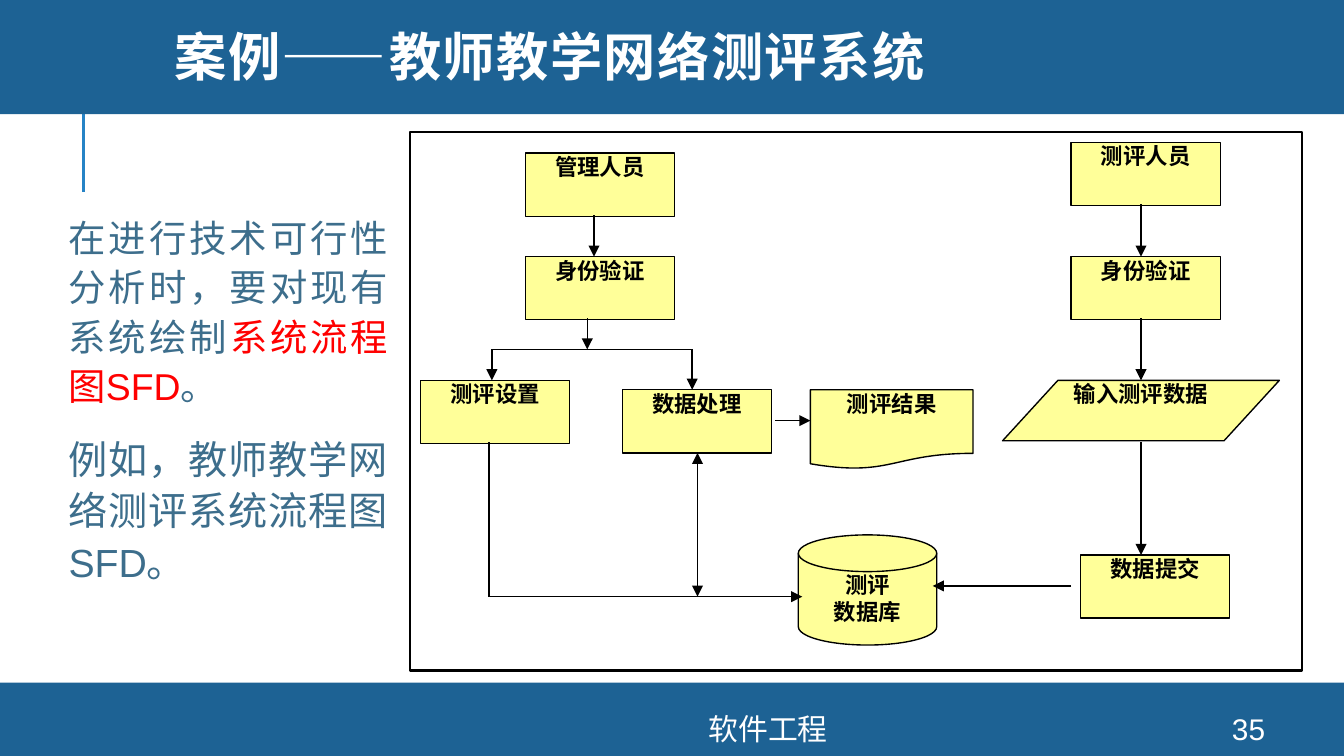
from pptx import Presentation
from pptx.dml.color import RGBColor
from pptx.enum.shapes import MSO_CONNECTOR, MSO_SHAPE
from pptx.enum.text import MSO_ANCHOR, PP_ALIGN
from pptx.oxml.ns import qn
from pptx.util import Inches, Pt
from lxml import etree

RECT = MSO_SHAPE.RECTANGLE
DATA = MSO_SHAPE.FLOWCHART_DATA
DOCUMENT = MSO_SHAPE.FLOWCHART_DOCUMENT
DISK = MSO_SHAPE.FLOWCHART_MAGNETIC_DISK
STRAIGHT = MSO_CONNECTOR.STRAIGHT
TOP, MIDDLE = MSO_ANCHOR.TOP, MSO_ANCHOR.MIDDLE
LEFT, CENTER, JUSTIFY = PP_ALIGN.LEFT, PP_ALIGN.CENTER, PP_ALIGN.JUSTIFY

COLORS = {"band": "1D6294", "accent": "2683C6", "body": "3D6E8C", "key": "FF0000",
          "node": "FFFF99", "ink": "000000", "paper": "FFFFFF"}
WIDTH = 10
HEIGHT = WIDTH * 9 / 16
FOOTER_TOP = 5.08
SANS, CJK = "Arial", "Noto Sans CJK SC"

TITLE = "案例——教师教学网络测评系统"
BODY = [
    (20, [("在进行技术可行性分析时，要对现有系统绘制", "body"),
          ("系统流程图SFD", "key"), ("。", "body")]),
    (21, [("例如，教师教学网络测评系统流程图SFD。", "body")]),
]
FOOTERS = [("35", 8.89, 0.8), ("软件工程", 2.61, 6.21)]

STEP = (1.11, 0.47)
ADMIN, RATER = 3.91, 7.97
ROW_LOGIN, ROW_WORK, ROW_PROCESS = 1.91, 2.83, 2.9
NODES = [
    ("测评\n数据库", DISK, 5.94, 3.98, (1.03, 0.82), CJK),
    ("测评设置", RECT, 3.13, ROW_WORK, STEP, CJK),
    ("测评人员", RECT, RATER, 1.06, STEP, CJK),
    ("管理人员", RECT, ADMIN, 1.14, STEP, CJK),
    ("数据处理", RECT, 4.63, ROW_PROCESS, STEP, CJK),
    ("数据提交", RECT, 8.04, 4.13, STEP, CJK),
    ("输入测评数据", DATA, 7.46, ROW_WORK, (2.06, 0.45), CJK),
    ("测评结果", DOCUMENT, 6.03, ROW_PROCESS, (1.21, 0.59), CJK),
    ("身份验证", RECT, ADMIN, ROW_LOGIN, STEP, SANS),
    ("身份验证", RECT, RATER, ROW_LOGIN, STEP, SANS),
]

RATER_AXIS, FORK_Y, STORE_Y = 8.49, 2.6, 4.44
SETUP_X, SETUP_OUT, PROCESS_X, PROCESS_OUT = 3.66, 3.64, 5.15, 5.19
FLOWS = [
    ((4.42, 1.6), (4.42, ROW_LOGIN), ["tail"]),
    ((RATER_AXIS, 1.52), (RATER_AXIS, ROW_LOGIN), ["tail"]),
    ((PROCESS_X, FORK_Y), (PROCESS_X, ROW_PROCESS), ["tail"]),
    ((RATER_AXIS, 3.29), (RATER_AXIS, 4.13), ["tail"]),
    ((7.97, 4.36), (6.94, 4.36), ["tail"]),
    ((SETUP_X, FORK_Y), (SETUP_X, ROW_WORK), ["tail"]),
    ((RATER_AXIS, ROW_WORK), (RATER_AXIS, 2.37), ["head"]),
    ((5.77, 3.13), (6.03, 3.13), ["tail"]),
    ((SETUP_X, FORK_Y), (PROCESS_X, FORK_Y), []),
    ((4.37, 2.37), (4.37, FORK_Y), ["tail"]),
    ((SETUP_OUT, STORE_Y), (5.97, STORE_Y), ["tail"]),
    ((SETUP_OUT, 3.29), (SETUP_OUT, STORE_Y), []),
    ((PROCESS_OUT, 3.37), (PROCESS_OUT, STORE_Y), ["head", "tail"]),
]


def color(name):
    return RGBColor.from_string(COLORS[name])


def add_block(page, kind, place, fill, line_width=0):
    shape = page.shapes.add_shape(kind, *map(Inches, place))
    shape.shadow.inherit = False
    shape.fill.solid()
    shape.fill.fore_color.rgb = color(fill)
    if line_width:
        shape.line.color.rgb = color("ink")
        shape.line.width = Pt(line_width)
    else:
        shape.line.fill.background()
    return shape


def add_line(page, start, end, name="ink", width=0.75, arrows=()):
    line = page.shapes.add_connector(STRAIGHT, *map(Inches, start + end))
    line.line.color.rgb = color(name)
    line.line.width = Pt(width)
    properties = line._element.spPr
    outline = properties.find(qn("a:ln"))
    for side in arrows:
        etree.SubElement(outline, qn(f"a:{side}End"), type="triangle")
    etree.SubElement(properties, qn("a:effectLst"))


def set_frame(box, anchor, margins):
    frame = box.text_frame
    frame.word_wrap = True
    frame.vertical_anchor = anchor
    frame.margin_left = frame.margin_right = Inches(margins[0])
    frame.margin_top = frame.margin_bottom = Inches(margins[1])
    return frame


def style(para, size, font, align, name=None, bold=False):
    para.alignment = align
    para.font.size = Pt(size)
    para.font.name = font
    para.font.bold = bold
    if name:
        para.font.color.rgb = color(name)


def write(box, text, anchor, margins, *look):
    frame = set_frame(box, anchor, margins)
    frame.text = text
    for para in frame.paragraphs:
        style(para, *look)
    return frame


def add_title(page):
    title = page.shapes.title
    title.left, title.top, title.width, title.height = map(Inches, (1.2, 0, 8.49, 0.91))
    frame = write(title, TITLE, MIDDLE, (0.1, 0.05), 28, "Montserrat", LEFT, "paper", True)
    para = frame.paragraphs[0]
    para.line_spacing = 0.8
    para.runs[0].font._element.set("spc", "80")
    title._element.getparent().append(title._element)


def add_body(page):
    box = page.shapes.add_textbox(*map(Inches, (0.46, 1.52, 2.48, 3.28)))
    frame = set_frame(box, TOP, (0.05, 0.05))
    for index, (size, spans) in enumerate(BODY):
        para = frame.add_paragraph() if index else frame.paragraphs[0]
        para.line_spacing = 1.1
        if index:
            para.space_before = Pt(12)
        style(para, size, SANS, JUSTIFY)
        for text, name in spans:
            span = para.add_run()
            span.text = text
            span.font.color.rgb = color(name)


def main():
    deck = Presentation()
    deck.slide_width, deck.slide_height = Inches(WIDTH), Inches(HEIGHT)
    page = deck.slides.add_slide(deck.slide_layouts[5])

    add_line(page, (0.62, 1.43), (0.62, 0.68), "accent", 1.5)
    add_block(page, RECT, (0, FOOTER_TOP, WIDTH, HEIGHT - FOOTER_TOP), "band")
    add_block(page, RECT, (0, -0.03, WIDTH, 0.88), "band")
    add_title(page)
    add_body(page)

    add_block(page, RECT, (3.05, 0.98, 6.64, 4.01), "paper", 1.25)
    for text, kind, left, top, size, font in NODES:
        node = add_block(page, kind, (left, top) + size, "node", 0.75)
        write(node, text, TOP, (0.1, 0), 12, font, CENTER, "ink", True)
    for start, end, arrows in FLOWS:
        add_line(page, start, end, arrows=arrows)

    for text, left, width in FOOTERS:
        box = page.shapes.add_textbox(*map(Inches, (left, 5.31, width, 0.23)))
        write(box, text, MIDDLE, (0.1, 0.05), 16, SANS, CENTER, "paper")

    deck.save("out.pptx")


if __name__ == "__main__":
    main()
